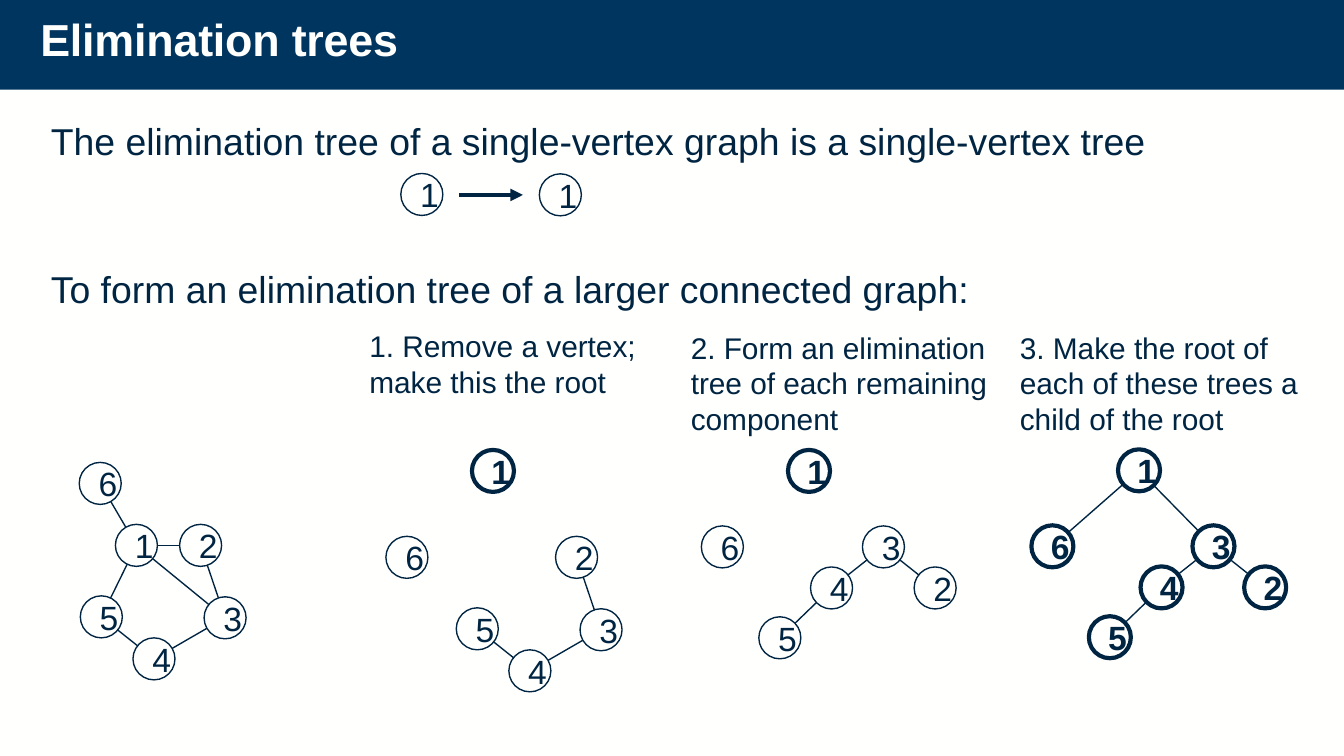
import pptx
import pptx.dml.color
import pptx.enum.shapes
import pptx.enum.text
import pptx.oxml.ns
import pptx.util
from lxml import etree

Pt = pptx.util.Pt
RGBColor = pptx.dml.color.RGBColor
SHAPE = pptx.enum.shapes.MSO_SHAPE
ALIGN = pptx.enum.text.PP_ALIGN
ANCHOR = pptx.enum.text.MSO_ANCHOR

NAVY = RGBColor(0x00, 0x35, 0x60)
INK = RGBColor(0x00, 0x25, 0x42)
PAPER = RGBColor(0xFF, 0xFF, 0xFE)

NODE = 22.5
THIN, THICK = 0.75, 2.25

# Node centres and edges of each graph, in points
GRAPH = {1: (73.1, 292.2), 2: (107.5, 292.2), 3: (120.6, 331),
         4: (82.5, 353), 5: (54.3, 330.5), 6: (53.7, 259)}
LINKS = [(6, 1), (1, 2), (2, 3), (3, 4), (4, 5), (5, 1), (1, 3)]
TREE = {1: (433.4, 252.3), 2: (501, 315), 3: (473.3, 293),
        4: (445.5, 315), 5: (417.8, 341.7), 6: (387, 293)}
TWIGS = [(2, 3), (3, 4), (4, 5)]

HEADS = [
    (60, "The elimination tree of a single-vertex graph is a single-vertex tree"),
    (139, "To form an elimination tree of a larger connected graph:"),
]
STEPS = [
    (190.8, 172, 158.5, "1. Remove a vertex; make this the root"),
    (363, 172.8, 180, "2. Form an elimination tree of each remaining component"),
    (539.3, 172.8, 180, "3. Make the root of each of these trees a child of the root"),
]


def set_font(font, size, color=INK, bold=False):
    font.color.rgb = color
    values = {"name": "Arial", "size": Pt(size), "bold": bold}
    for key, value in values.items():
        setattr(font, key, value)


def add_text(slide, left, top, width, height, text, size):
    box = slide.shapes.add_textbox(Pt(left), Pt(top), Pt(width), Pt(height))
    box.text_frame.word_wrap = True
    run = box.text_frame.paragraphs[0].add_run()
    run.text = text
    set_font(run.font, size)


def add_line(slide, start, end, width=THIN, arrow=False):
    points = [Pt(value) for value in (*start, *end)]
    line = slide.shapes.add_connector(
        pptx.enum.shapes.MSO_CONNECTOR.STRAIGHT, *points)
    line.line.color.rgb = INK
    line.line.width = Pt(width)
    if arrow:
        stroke = line.line._get_or_add_ln()
        etree.SubElement(stroke, pptx.oxml.ns.qn("a:tailEnd"), type="triangle")
    etree.SubElement(line.element.spPr, pptx.oxml.ns.qn("a:effectLst"))


def add_node(slide, center, label, bold=False):
    left, top = (value - NODE / 2 for value in center)
    node = slide.shapes.add_shape(
        SHAPE.OVAL, Pt(left), Pt(top), Pt(NODE), Pt(NODE))
    node.shadow.inherit = False
    node.fill.solid()
    node.fill.fore_color.rgb = PAPER
    node.line.color.rgb = INK
    node.line.width = Pt(THICK if bold else THIN)
    node.text_frame.vertical_anchor = ANCHOR.MIDDLE
    para = node.text_frame.paragraphs[0]
    para.alignment = ALIGN.CENTER
    run = para.add_run()
    run.text = str(label)
    set_font(run.font, 18, bold=bold)


def add_graph(slide, nodes, links, bold=()):
    for start, end in links:
        add_line(slide, nodes[start], nodes[end])
    for label, center in nodes.items():
        add_node(slide, center, label, label in bold)


def shift(nodes, right, down):
    return {label: (x + right, y + down) for label, (x, y) in nodes.items()}


def add_title(slide, text):
    bar = slide.shapes.add_shape(SHAPE.RECTANGLE, 0, 0, Pt(720), Pt(48))
    bar.shadow.inherit = False
    bar.fill.solid()
    bar.fill.fore_color.rgb = NAVY
    bar.line.fill.background()

    title = slide.shapes.title
    place = {"left": 14.4, "top": 5.8, "width": 294.5, "height": 39.6}
    for key, value in place.items():
        setattr(title, key, Pt(value))
    frame = title.text_frame
    frame.vertical_anchor = ANCHOR.TOP
    frame.auto_size = pptx.enum.text.MSO_AUTO_SIZE.NONE
    para = frame.paragraphs[0]
    para.alignment = ALIGN.LEFT
    para.line_spacing = 0.9
    run = para.add_run()
    run.text = text
    set_font(run.font, 24, PAPER, True)
    run._r.get_or_add_rPr().set("spc", "-10")
    # Bring the title in front of the bar
    title.element.getparent().append(title.element)


def main():
    deck = pptx.Presentation()
    deck.slide_width, deck.slide_height = Pt(720), Pt(405)
    slide = deck.slides.add_slide(deck.slide_layouts[5])
    slide.background.fill.solid()
    slide.background.fill.fore_color.rgb = PAPER
    add_title(slide, "Elimination trees")

    # Headings and steps
    for top, text in HEADS:
        add_text(slide, 20.2, top, 629, 31.5, text, 20)
    for left, top, width, text in STEPS:
        add_text(slide, left, top, width, 65.5, text, 16)

    # Single vertex and its tree
    add_node(slide, (226, 104.2), 1)
    add_line(slide, (246, 104.4), (280.2, 104.4), THICK, arrow=True)
    add_node(slide, (300.2, 104.4), 1)

    # Connected graph
    add_graph(slide, GRAPH, LINKS)

    # Step 1: the root is taken out of the graph
    parts = shift(GRAPH, 201.4, 6.4)
    parts.update({1: (264.1, 252.3), 6: (218, 298.6)})
    add_graph(slide, parts, [(2, 3), (3, 4), (4, 5)], bold={1})

    # Step 2: a tree for each part
    add_graph(slide, TREE, TWIGS, bold={1})

    # Step 3: all parts joined to the root
    add_graph(slide, shift(TREE, 176.8, -0.3),
              TWIGS + [(1, 3), (1, 6)], bold=set(TREE))

    deck.save("out.pptx")


if __name__ == "__main__":
    main()
